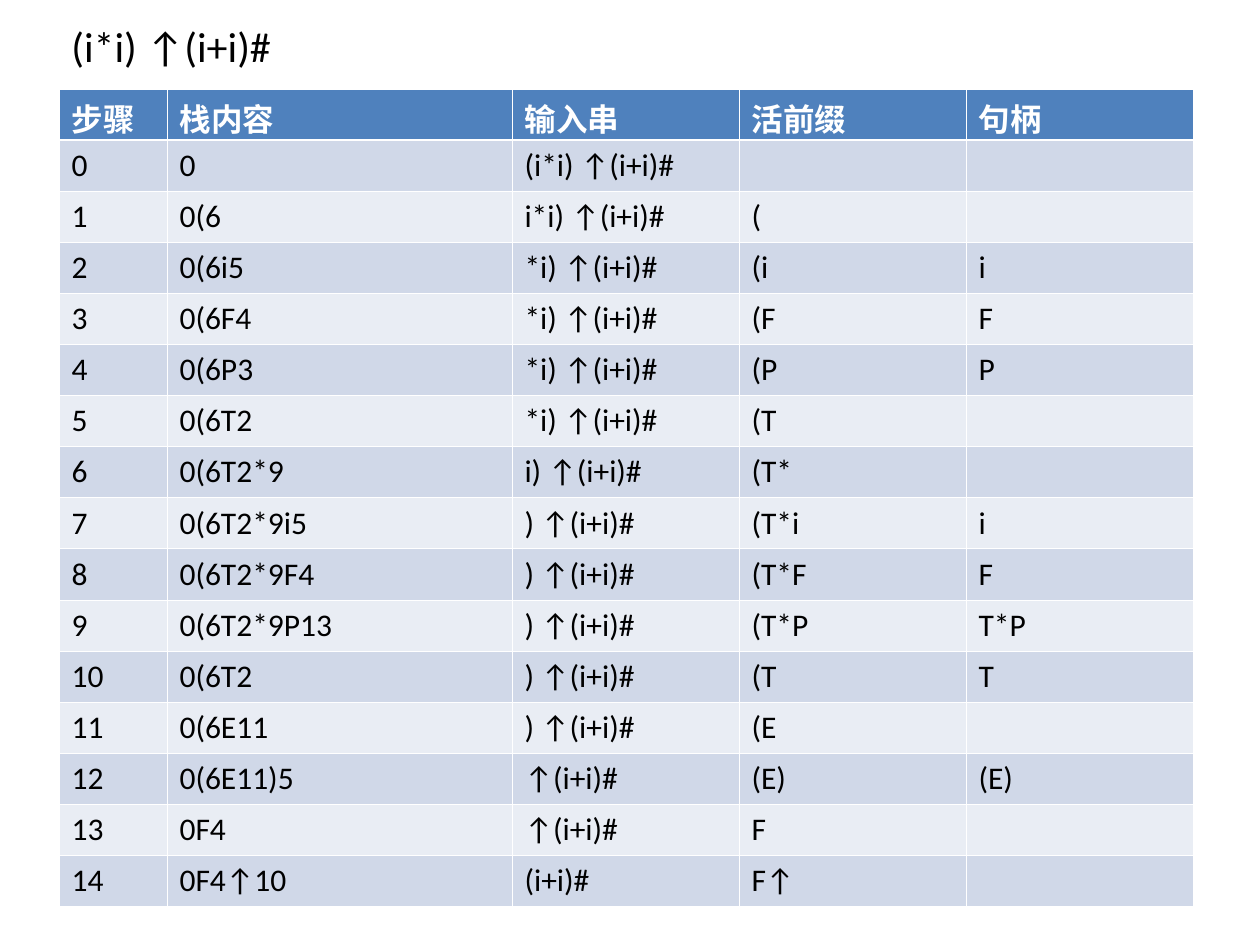
import pptx
import pptx.util
import pptx.dml.color
import pptx.enum.text
import pptx.oxml
import pptx.oxml.ns

HEX = {"ink": "000000", "paper": "FFFFFF", "head": "4F81BD",
       "dark": "D0D8E8", "light": "E9EDF4"}
HEADS = ("步骤", "栈内容", "输入串", "活前缀", "句柄")
STEPS = (
    ("0", "(i*i) ↑(i+i)#", "", ""),
    ("0(6", "i*i) ↑(i+i)#", "(", ""),
    ("0(6i5", "*i) ↑(i+i)#", "(i", "i"),
    ("0(6F4", "*i) ↑(i+i)#", "(F", "F"),
    ("0(6P3", "*i) ↑(i+i)#", "(P", "P"),
    ("0(6T2", "*i) ↑(i+i)#", "(T", ""),
    ("0(6T2*9", "i) ↑(i+i)#", "(T*", ""),
    ("0(6T2*9i5", ") ↑(i+i)#", "(T*i", "i"),
    ("0(6T2*9F4", ") ↑(i+i)#", "(T*F", "F"),
    ("0(6T2*9P13", ") ↑(i+i)#", "(T*P", "T*P"),
    ("0(6T2", ") ↑(i+i)#", "(T", "T"),
    ("0(6E11", ") ↑(i+i)#", "(E", ""),
    ("0(6E11)5", "↑(i+i)#", "(E)", "(E)"),
    ("0F4", "↑(i+i)#", "F", ""),
    ("0F4↑10", "(i+i)#", "F↑", ""),
)


def px(n):
    return pptx.util.Emu(round(n * 914400 / 126))


def tint(name):
    return pptx.dml.color.RGBColor.from_string(HEX[name])


class Deck:
    face = "Calibri"
    thin, thick = 0.45, 1.47

    def __init__(self, wide, high):
        self.show = pptx.Presentation()
        self.show.slide_width, self.show.slide_height = px(wide), px(high)
        self.slide = self.show.slides.add_slide(self.show.slide_layouts[6])

    def label(self, frame, text, size, color, bold=False):
        para = frame.paragraphs[0]
        para.text = text
        font = para.font
        font.name, font.size, font.bold = self.face, pptx.util.Pt(size), bold
        font.color.rgb = tint(color)

    def title(self, text, left, top, wide, high):
        frame = self.slide.shapes.add_textbox(
            px(left), px(top), px(wide), px(high)).text_frame
        frame.word_wrap = True
        frame.vertical_anchor = pptx.enum.text.MSO_ANCHOR.MIDDLE
        self.label(frame, text, 24, "ink")

    def edges(self, cell, top, base):
        props = cell._tc.get_or_add_tcPr()
        sides = (("L", self.thin), ("R", self.thin), ("T", top), ("B", base))
        for spot, (side, width) in enumerate(sides):
            line = pptx.oxml.parse_xml(
                f'<a:ln{side} {pptx.oxml.ns.nsdecls("a")} w="{pptx.util.Pt(width)}">'
                f'<a:solidFill><a:srgbClr val="{HEX["paper"]}"/></a:solidFill>'
                f'</a:ln{side}>')
            props.insert(spot, line)

    def table(self, rows, left, top, cols, high):
        grid = self.slide.shapes.add_table(
            len(rows), len(cols), px(left), px(top),
            px(sum(cols)), px(high)).table
        for col, wide in zip(grid.columns, cols):
            col.width = px(wide)
        for r, row in enumerate(rows):
            head = r == 0
            fill = "head" if head else "dark" if r % 2 else "light"
            for c, text in enumerate(row):
                cell = grid.cell(r, c)
                cell.fill.solid()
                cell.fill.fore_color.rgb = tint(fill)
                self.edges(cell, self.thick if r == 1 else self.thin,
                           self.thick if head else self.thin)
                self.label(cell.text_frame, text, 18,
                           "paper" if head else "ink", head)

    def save(self):
        self.show.save("out.pptx")


def main():
    deck = Deck(1260, 945)
    deck.title("(i*i) ↑(i+i)#", 59, 0, 1134, 91)
    rows = [HEADS] + [(str(n), *step) for n, step in enumerate(STEPS)]
    deck.table(rows, 59, 89, (108, 345, 227, 227, 227), 818)
    deck.save()


if __name__ == "__main__":
    main()
